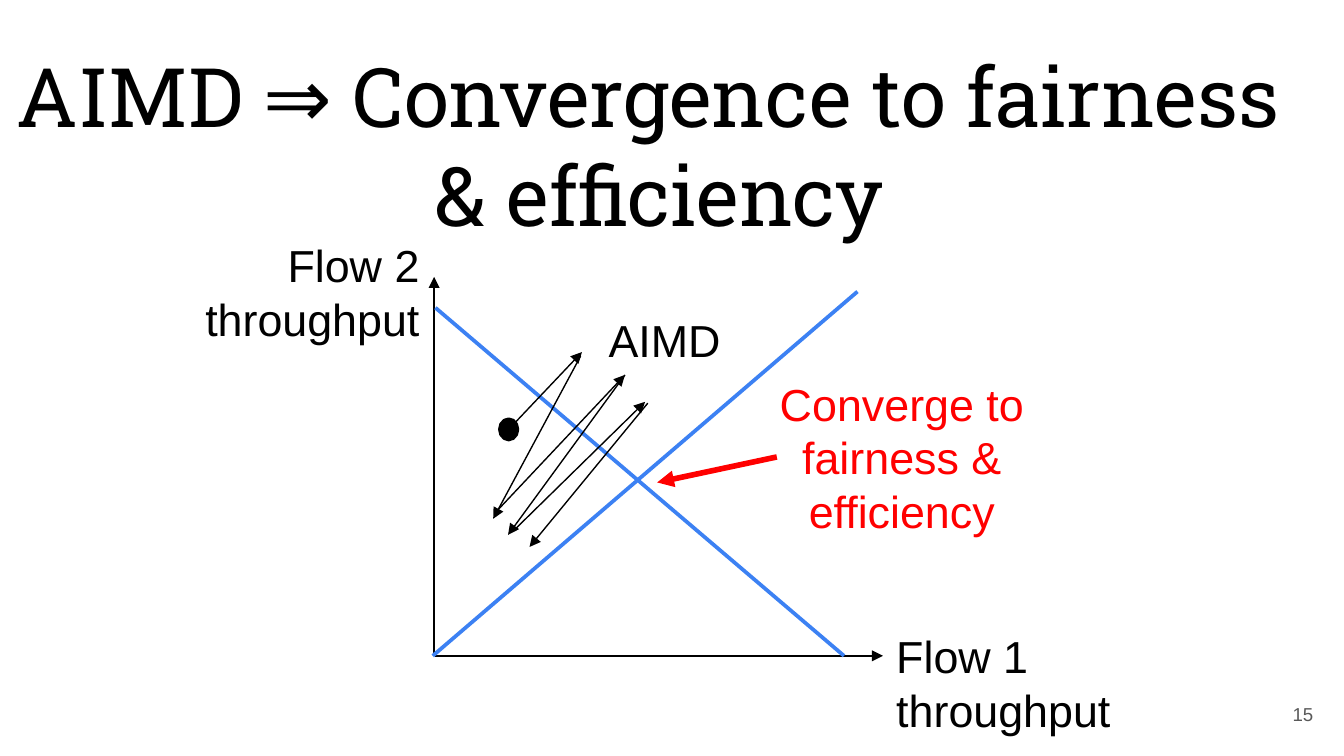
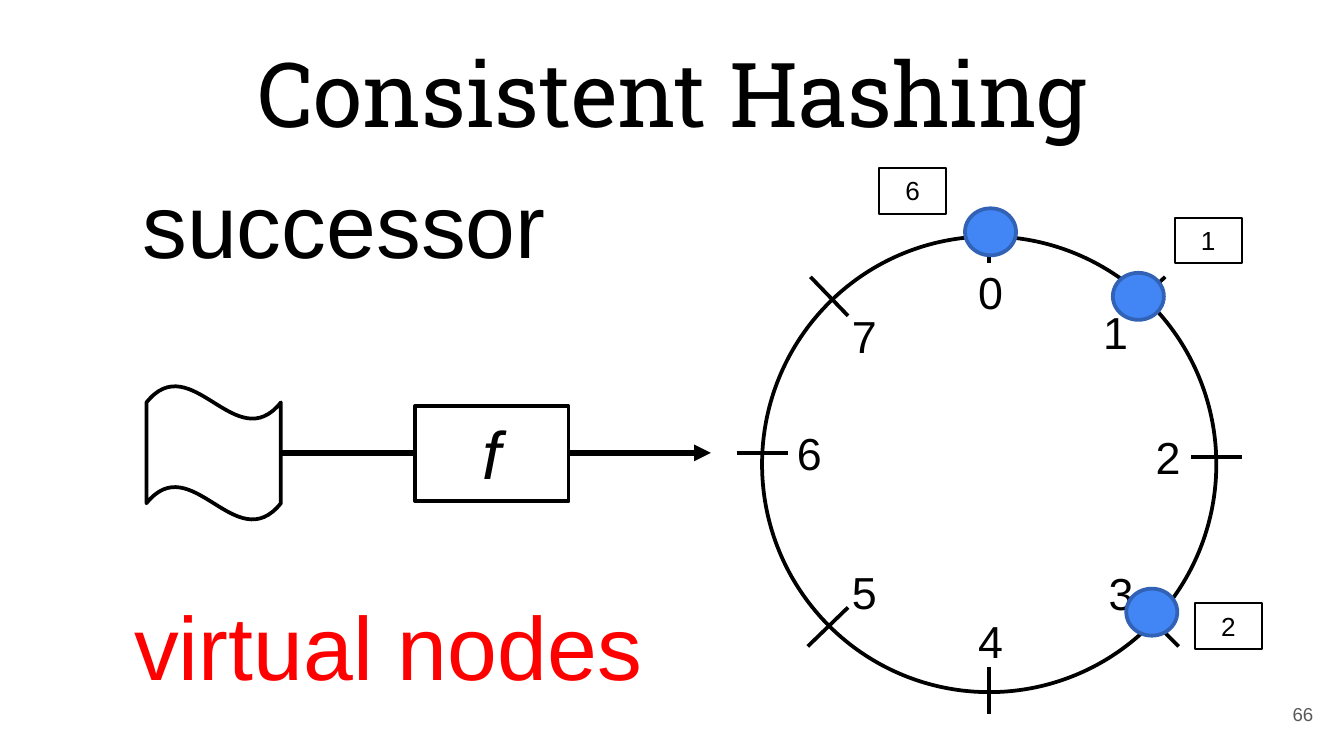
from lxml.etree import SubElement
from pptx import Presentation
from pptx.dml.color import RGBColor
from pptx.enum.shapes import MSO_CONNECTOR, MSO_SHAPE
from pptx.enum.text import MSO_ANCHOR, MSO_AUTO_SIZE, PP_ALIGN
from pptx.oxml.ns import qn
from pptx.util import Pt

PX = 9144  # EMU per px, 100 px to the inch
COLORS = {
    "black": "000000",
    "white": "FFFFFF",
    "red": "FF0000",
    "diagonal": "3C81F3",
    "node": "4285F4",
    "node edge": "3162B5",
    "page number": "595959",
}
COLORS = {name: RGBColor.from_string(value) for name, value in COLORS.items()}
LEFT, CENTER, RIGHT = PP_ALIGN.LEFT, PP_ALIGN.CENTER, PP_ALIGN.RIGHT


def write(shape, text, size, color="black", align=LEFT, wrap=False, font="Arial"):
    frame = shape.text_frame
    frame.text = text
    frame.word_wrap = wrap
    frame.auto_size = MSO_AUTO_SIZE.SHAPE_TO_FIT_TEXT
    frame.vertical_anchor = MSO_ANCHOR.TOP
    for paragraph in frame.paragraphs:
        paragraph.alignment = align
        paragraph.font.name = font
        paragraph.font.size = Pt(size)
        paragraph.font.color.rgb = COLORS[color]
    return frame


def draw_line(shapes, ends, width, color="black", arrow=False):
    line = shapes.add_connector(MSO_CONNECTOR.STRAIGHT, *[end * PX for end in ends])
    line.line.color.rgb = COLORS[color]
    line.line.width = Pt(width)
    SubElement(line._element.spPr, qn("a:effectLst"))
    if arrow:
        SubElement(line.line._get_or_add_ln(), qn("a:tailEnd"), type="triangle")


# 16:9 page
presentation = Presentation()
presentation.slide_width = 1000 * PX
presentation.slide_height = presentation.slide_width * 9 // 16

# Titles and page numbers
slides = []
for title_text, title_box, title_size, page in [
    ("AIMD ⇒ Convergence to fairness \v& efficiency", (0, 24, 981, 142), 44, "15"),
    ("Consistent Hashing", (36, 18, 929, 142), 48, "66"),
]:
    slide = presentation.slides.add_slide(presentation.slide_layouts[5])
    slides.append(slide)
    title = slide.shapes.title
    title.left, title.top, title.width, title.height = [side * PX for side in title_box]
    number = slide.shapes.add_textbox(927 * PX, 510 * PX, 60 * PX, 43 * PX)
    title_frame = write(title, title_text, title_size, align=CENTER, wrap=True, font="Roboto Slab")
    number_frame = write(number, page, 10, "page number", RIGHT, True)
    number_frame.vertical_anchor = MSO_ANCHOR.MIDDLE
    for frame in (title_frame, number_frame):
        frame.auto_size = MSO_AUTO_SIZE.NONE
        frame.margin_left = frame.margin_right = 10 * PX
        frame.margin_top = frame.margin_bottom = 10 * PX

# Slide 1: axes and the fairness and efficiency lines
shapes = slides[0].shapes
for axis in [(323, 488, 323, 206), (324, 488, 657, 488)]:
    draw_line(shapes, axis, 0.75, arrow=True)
for diagonal in [(322, 488, 638, 217), (324, 229, 628, 488)]:
    draw_line(shapes, diagonal, 2, "diagonal")

# Slide 1: starting point and the AIMD path
start = shapes.add_shape(MSO_SHAPE.FLOWCHART_CONNECTOR, 372 * PX, 312 * PX, 13 * PX, 15 * PX)
start.shadow.inherit = False
start.fill.solid()
start.fill.fore_color.rgb = COLORS["black"]
start.line.color.rgb = COLORS["black"]
start.line.width = Pt(2)
for step in [
    (378, 320, 433, 262),
    (432, 265, 367, 386),
    (369, 381, 465, 279),
    (465, 279, 378, 398),
    (382, 395, 480, 299),
    (482, 300, 394, 407),
]:
    draw_line(shapes, step, 0.75, arrow=True)
draw_line(shapes, (578, 340, 489, 359), 3, "red", arrow=True)

# Slide 1: labels
for text, box, color, align, wrap in [
    ("Flow 1\nthroughput", (657, 463, 181, 91), "black", LEFT, False),
    ("Flow 2\nthroughput", (141, 172, 181, 91), "black", RIGHT, False),
    ("AIMD", (442, 228, 104, 50), "black", RIGHT, False),
    ("Converge to fairness & efficiency", (561, 275, 220, 131), "red", CENTER, True),
]:
    label = shapes.add_textbox(*[side * PX for side in box])
    write(label, text, 24, color, align, wrap)

# Slide 2: document passing through the hash function
shapes = slides[1].shapes
draw_line(shapes, (209, 337, 529, 337), 3, arrow=True)
document = shapes.add_shape(MSO_SHAPE.WAVE, 109 * PX, 287 * PX, 100 * PX, 100 * PX)
function = shapes.add_shape(MSO_SHAPE.RECTANGLE, 309 * PX, 302 * PX, 114 * PX, 71 * PX)
write(function, "f", 36, align=CENTER, wrap=True).paragraphs[0].font.italic = True

# Slide 2: hash ring with its ticks and positions
ring = shapes.add_group_shape().shapes
circle = ring.add_shape(MSO_SHAPE.OVAL, 567 * PX, 176 * PX, 338 * PX, 339 * PX)
for shape in (document, function, circle):
    shape.shadow.inherit = False
    shape.fill.background()
    shape.line.color.rgb = COLORS["black"]
    shape.line.width = Pt(2)
function.fill.solid()
function.fill.fore_color.rgb = COLORS["white"]

positions = [
    ((736, 160, 736, 196), (718, 192)),
    ((867, 206, 836, 235), (811, 222)),
    ((886, 340, 924, 340), (850, 315)),
    ((877, 481, 848, 452), (815, 416)),
    ((736, 496, 736, 531), (718, 452)),
    ((631, 452, 601, 481), (624, 415)),
    ((548, 337, 586, 337), (583, 312)),
    ((631, 235, 603, 206), (624, 225)),
]
for position, (tick, (left, top)) in enumerate(positions):
    draw_line(ring, tick, 2)
    label = ring.add_textbox(left * PX, top * PX, 39 * PX, 50 * PX)
    write(label, str(position), 24)

# Slide 2: nodes on the ring and their keys
for (node_left, node_top), key, (key_left, key_top) in [
    ((718, 155), "6", (654, 125)),
    ((828, 203), "1", (874, 162)),
    ((838, 438), "2", (889, 449)),
]:
    node = shapes.add_shape(
        MSO_SHAPE.FLOWCHART_CONNECTOR, node_left * PX, node_top * PX, 38 * PX, 35 * PX)
    node.shadow.inherit = False
    node.fill.solid()
    node.fill.fore_color.rgb = COLORS["node"]
    node.line.color.rgb = COLORS["node edge"]
    node.line.width = Pt(2)
    key_box = shapes.add_shape(
        MSO_SHAPE.RECTANGLE, key_left * PX, key_top * PX, 50 * PX, 34 * PX)
    key_box.shadow.inherit = False
    key_box.fill.background()
    key_box.line.color.rgb = COLORS["black"]
    key_box.line.width = Pt(1)
    write(key_box, key, 14, align=CENTER, wrap=True)

# Slide 2: large terms
for text, box, color in [
    ("virtual nodes", (90, 435, 402, 91), "red"),
    ("successor", (96, 121, 342, 91), "black"),
]:
    term = shapes.add_textbox(*[side * PX for side in box])
    write(term, text, 48, color)

presentation.save("out.pptx")
